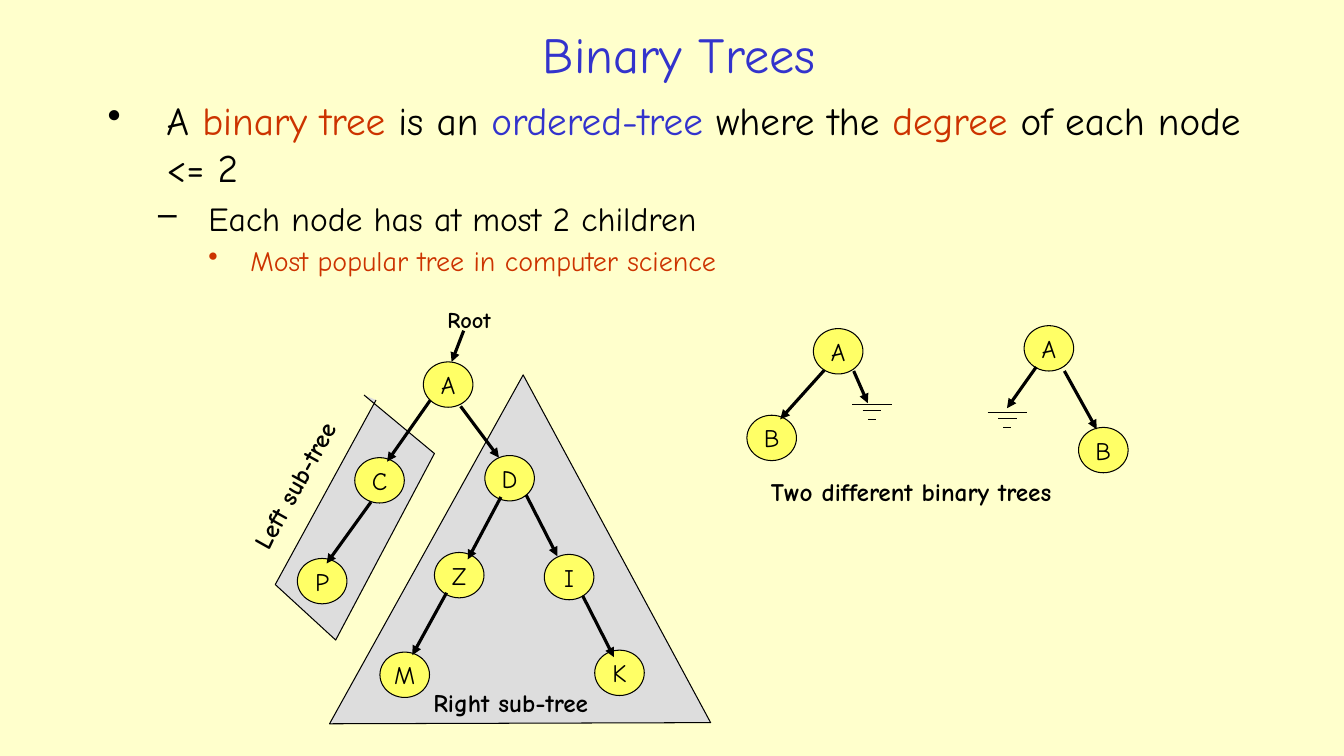
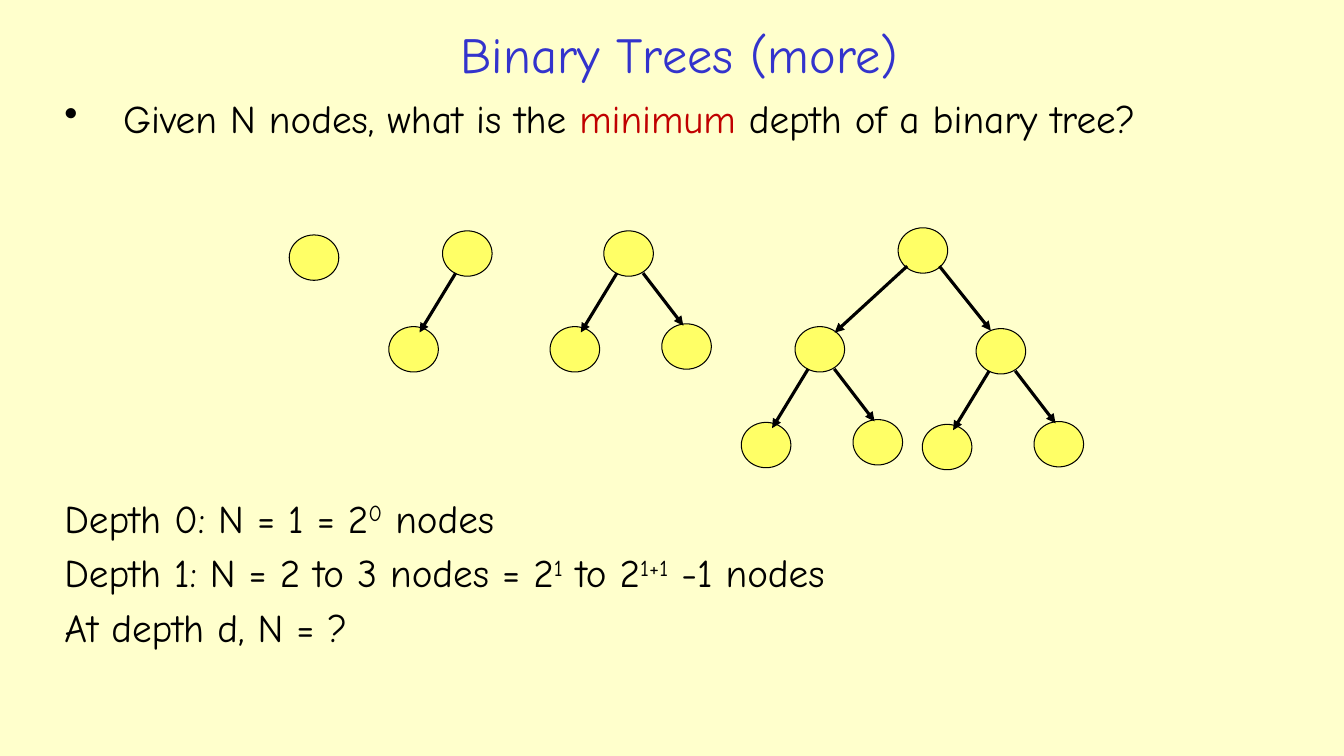
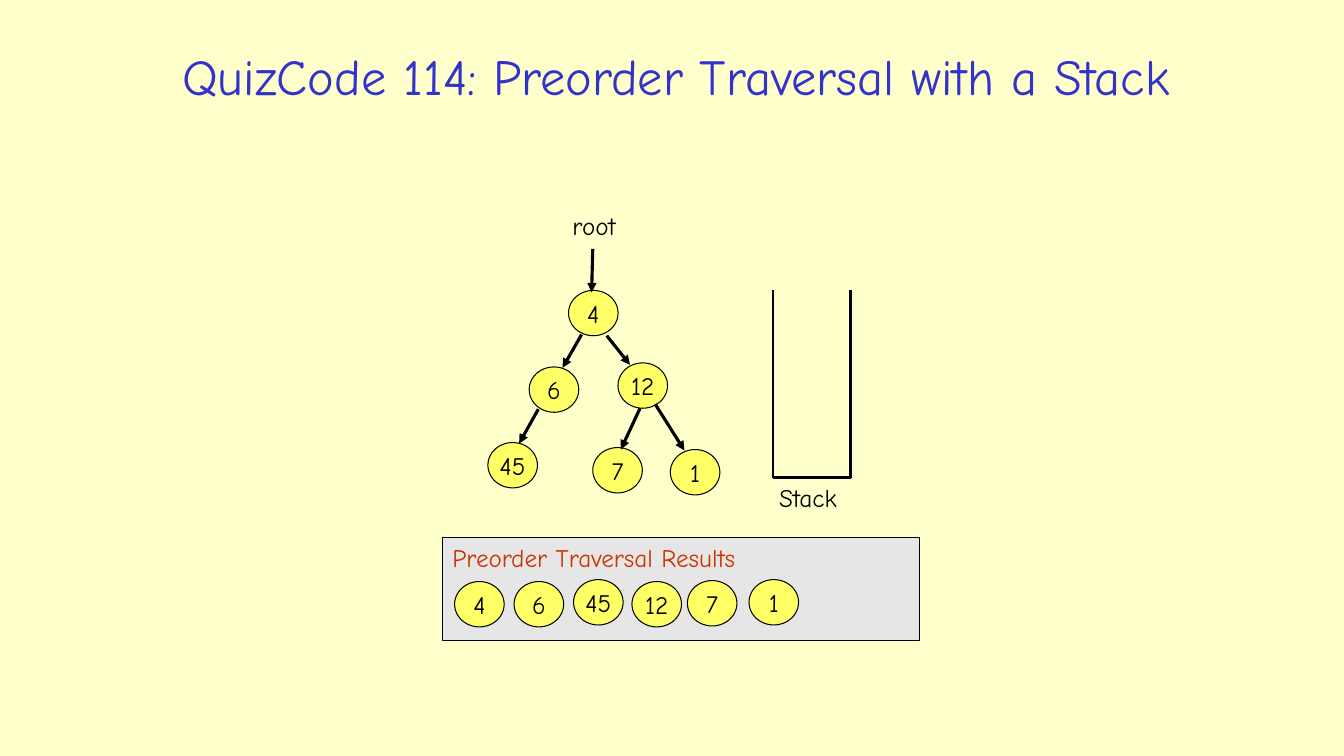
"""Build three slides on binary trees and preorder traversal."""
from lxml import etree
from pptx import Presentation
from pptx.dml.color import RGBColor
from pptx.enum.shapes import MSO_CONNECTOR, MSO_SHAPE
from pptx.enum.text import MSO_ANCHOR, MSO_AUTO_SIZE, PP_ALIGN
from pptx.oxml.ns import qn
from pptx.util import Pt

STRAIGHT = MSO_CONNECTOR.STRAIGHT
OVAL, RECTANGLE = MSO_SHAPE.OVAL, MSO_SHAPE.RECTANGLE
TOP, MIDDLE = MSO_ANCHOR.TOP, MSO_ANCHOR.MIDDLE
LEFT, CENTER = PP_ALIGN.LEFT, PP_ALIGN.CENTER
FIT_SHAPE = MSO_AUTO_SIZE.SHAPE_TO_FIT_TEXT

COLORS = {
    "page": "FFFFCC", "blue": "3333CC", "black": "000000", "orange": "CC3300",
    "red": "C00000", "node": "FFFF66", "subtree": "DDDDDD", "results": "E6E6E6",
}
FONT = "Comic Neue"
STYLES = {
    "title": {"size": 36, "color": "blue", "align": CENTER},
    "point": {"size": 28, "bullet": "•", "margin": 42, "hang": 42},
    "detail": {"size": 24, "bullet": "–", "margin": 72, "hang": 36, "level": 1},
    "remark": {"size": 20, "color": "orange", "bullet": "•",
               "margin": 102, "hang": 30, "level": 2},
    "formula": {"size": 28},
    "node": {"size": 18, "align": CENTER},
    "label": {"size": 18},
    "caption": {"size": 18, "bold": True},
    "pointer": {"size": 16, "bold": True},
    "heading": {"size": 18, "color": "orange"},
}
NODE_WIDTH, NODE_HEIGHT = 35.4, 32.4
THIN, STACK_WALL, THICK = 0.75, 2, 2.25


def write(frame, paragraphs, frame_format):
    for name, value in frame_format.items():
        setattr(frame, name, value)
    for index, (style_name, runs) in enumerate(paragraphs):
        style = STYLES[style_name]
        paragraph = frame.add_paragraph() if index else frame.paragraphs[0]
        paragraph.alignment = style.get("align", LEFT)
        paragraph.level = style.get("level", 0)
        if "bullet" in style:
            properties = paragraph._p.get_or_add_pPr()
            properties.set("marL", str(Pt(style["margin"])))
            properties.set("indent", str(-Pt(style["hang"])))
            etree.SubElement(properties, qn("a:buChar")).set("char", style["bullet"])
        if index:
            paragraph.space_before = Pt(style["size"] * 0.2)
        for text, mark in runs:
            run = paragraph.add_run()
            run.text = text
            font_format = {"name": FONT, "size": Pt(style["size"]),
                           "bold": style.get("bold", False)}
            for name, value in font_format.items():
                setattr(run.font, name, value)
            color = mark if mark in COLORS else style.get("color", "black")
            run.font.color.rgb = RGBColor.from_string(COLORS[color])
            if mark == "raised":
                run._r.get_or_add_rPr().set("baseline", "30000")


def draw_line(slide, ends, width, arrow=False):
    line = slide.shapes.add_connector(STRAIGHT, *map(Pt, ends))
    line.line.width = Pt(width)
    line.line.color.rgb = RGBColor.from_string(COLORS["black"])
    if arrow:
        etree.SubElement(line.line._get_or_add_ln(), qn("a:tailEnd")).set("type", "triangle")
    etree.SubElement(line._element.spPr, qn("a:effectLst"))


grounds = []
for center, top in [(622.8, 288.7), (719.6, 294.5)]:
    for width, drop in [(28.4, 0), (13.4, 4.7), (5.8, 10.8)]:
        grounds.append((center - width / 2, top + drop, center + width / 2, top + drop))

left_child = ((-38.4, 68.4), (9.4, 30.2, -16.4, 72.6))
right_child = ((41.4, 66.4), (28, 30.2, 56.8, 67.7))
depth_nodes = [("", 206.6, 167.8), ("", 641.5, 162.7)]
depth_arrows = [(648, 190.1, 596.2, 237.6), (671, 190.1, 707.8, 236.2)]
for x, y, children in [
    (316.1, 164.9, [left_child]),
    (431.3, 164.9, [left_child, right_child]),
    (567.9, 233.3, [left_child, right_child]),
    (697.2, 234.7, [left_child, right_child]),
]:
    depth_nodes.append(("", x, y))
    for (dx, dy), (x1, y1, x2, y2) in children:
        depth_nodes.append(("", x + dx, y + dy))
        depth_arrows.append((x + x1, y + y1, x + x2, y + y2))

slides = [
    {
        "title": ("Binary Trees", (141.8, 10.8, 686.9, 54.7)),
        "texts": [((69.8, 65.5, 831.6, 139.7), [
            ("point", [("A ", ""), ("binary tree", "orange"), (" is an ", ""),
                       ("ordered-tree", "blue"), (" where the ", ""),
                       ("degree", "orange"), (" of each node <= 2", "")]),
            ("detail", [("Each node has at most 2 children", "")]),
            ("remark", [("Most popular tree in computer science", "")]),
        ])],
        "subtrees": [
            ([(260, 282.2), (310.3, 324), (239.8, 457.2), (196.6, 417.6), (268.6, 285.8)], False),
            ([(373.7, 267.8), (235.4, 517), (507.6, 516.2)], True),
        ],
        "nodes": [
            ("A", 302.4, 258.5), ("C", 253.4, 326.9), ("D", 346.3, 325.4),
            ("Z", 310.3, 394.6), ("I", 388.8, 396), ("K", 424.8, 464.4),
            ("P", 212.4, 398.9), ("M", 271.4, 465.8),
            ("A", 581, 234.7), ("B", 533.5, 296.6),
            ("A", 731.5, 232.6), ("B", 770.4, 305.3),
        ],
        "arrows": [
            (307.4, 285.8, 276.5, 329.8), (329, 290.2, 356.4, 326.9),
            (357.8, 355, 334.1, 399.6), (375.8, 353.5, 398.2, 397.4),
            (416.2, 425.5, 438.5, 469.4), (331.2, 236.2, 322.6, 258.5),
            (265, 358.6, 233.3, 402.5), (319, 423.4, 294.5, 468),
            (589, 264.2, 557.3, 299.5), (609.8, 265, 619.9, 288),
            (760.3, 265, 783.4, 306.7), (740.2, 262.1, 719.3, 291.6),
        ],
        "rules": (THIN, grounds),
        "labels": [
            ("Root", "pointer", (312.5, 215.3, 49.7, 26.6), 0),
            ("Right sub-tree", "caption", (302.4, 487.4, 145.4, 28.8), 0),
            ("Left sub-tree", "caption", (146.9, 321.8, 138.2, 28.8), 299.2),
            ("Two different binary trees", "caption", (543.6, 337, 254.9, 28.8), 0),
        ],
    },
    {
        "title": ("Binary Trees (more)", (141.8, 10.8, 686.9, 54.7)),
        "texts": [
            ((38.9, 64.1, 879.1, 90), [
                ("point", [("Given N nodes, what is the ", ""), ("minimum", "red"),
                           (" depth of a binary tree?", "")]),
            ]),
            ((38.9, 349.2, 873.4, 167), [
                ("formula", [("Depth 0: N = 1 = 2", ""), ("0", "raised"), (" nodes", "")]),
                ("formula", [("Depth 1: N = 2 to 3 nodes = 2", ""), ("1", "raised"),
                             (" to 2", ""), ("1+1", "raised"), (" -1 nodes", "")]),
                ("formula", [("At depth d, N = ?", "")]),
            ]),
        ],
        "nodes": depth_nodes,
        "arrows": depth_arrows,
    },
    {
        "title": ("QuizCode 114: Preorder Traversal with a Stack", (25.2, 10.8, 915.1, 86.4)),
        "results": ("Preorder Traversal Results", (316.1, 383.8, 340.6, 73.4)),
        "nodes": [
            ("4", 406.1, 207.4), ("6", 378, 262.1), ("12", 441.4, 259.2),
            ("45", 348.5, 316.1), ("7", 423.4, 319.7), ("1", 478.8, 321.1),
            ("4", 324.7, 415.4), ("6", 367.2, 415.4), ("45", 409.7, 414),
            ("12", 451.4, 415.4), ("7", 491, 414.7), ("1", 535, 414),
        ],
        "arrows": [
            (433.4, 239.8, 450, 260.6), (415.4, 239, 401.8, 262.8),
            (384.5, 292.3, 370.8, 316.8), (457.2, 291.6, 443.5, 321.1),
            (423.4, 177.8, 422.6, 208.8), (468, 288.7, 488.9, 321.8),
        ],
        "rules": (STACK_WALL, [
            (552.2, 207.4, 552.2, 341.3), (607.7, 207.4, 607.7, 341.3),
            (552.2, 341.3, 607.7, 341.3),
        ]),
        "labels": [
            ("root", "label", (401.8, 146.9, 51.1, 28.8), 0),
            ("Stack", "label", (549.4, 341.3, 64.1, 28.8), 0),
        ],
    },
]

deck = Presentation()
deck.slide_width, deck.slide_height = Pt(960), Pt(540)

for content in slides:
    slide = deck.slides.add_slide(deck.slide_layouts[6])
    slide.background.fill.solid()
    slide.background.fill.fore_color.rgb = RGBColor.from_string(COLORS["page"])

    title, box = content["title"]
    title_box = slide.shapes.add_textbox(*map(Pt, box))
    write(title_box.text_frame, [("title", [(title, "")])],
          {"word_wrap": True, "vertical_anchor": MIDDLE})
    for box, paragraphs in content.get("texts", []):
        body = slide.shapes.add_textbox(*map(Pt, box))
        write(body.text_frame, paragraphs, {"word_wrap": True, "vertical_anchor": TOP})

    outlined = []
    for corners, closed in content.get("subtrees", []):
        start, *others = [tuple(map(Pt, corner)) for corner in corners]
        outline = slide.shapes.build_freeform(*start)
        outline.add_line_segments(others, close=closed)
        outlined.append((outline.convert_to_shape(), "subtree"))
    if "results" in content:
        heading, box = content["results"]
        results = slide.shapes.add_shape(RECTANGLE, *map(Pt, box))
        write(results.text_frame, [("heading", [(heading, "")])],
              {"word_wrap": True, "vertical_anchor": TOP})
        outlined.append((results, "results"))
    for value, x, y in content["nodes"]:
        node = slide.shapes.add_shape(OVAL, *map(Pt, (x, y, NODE_WIDTH, NODE_HEIGHT)))
        if value:
            write(node.text_frame, [("node", [(value, "")])],
                  {"word_wrap": False, "vertical_anchor": MIDDLE})
        outlined.append((node, "node"))
    for shape, color in outlined:
        shape.shadow.inherit = False
        shape.fill.solid()
        shape.fill.fore_color.rgb = RGBColor.from_string(COLORS[color])
        shape.line.color.rgb = RGBColor.from_string(COLORS["black"])
        shape.line.width = Pt(THIN)

    for ends in content["arrows"]:
        draw_line(slide, ends, THICK, arrow=True)
    rule_width, rules = content.get("rules", (THIN, []))
    for ends in rules:
        draw_line(slide, ends, rule_width)

    for text, style_name, box, rotation in content.get("labels", []):
        label = slide.shapes.add_textbox(*map(Pt, box))
        label.rotation = rotation
        write(label.text_frame, [(style_name, [(text, "")])],
              {"word_wrap": False, "auto_size": FIT_SHAPE})

deck.save("out.pptx")
